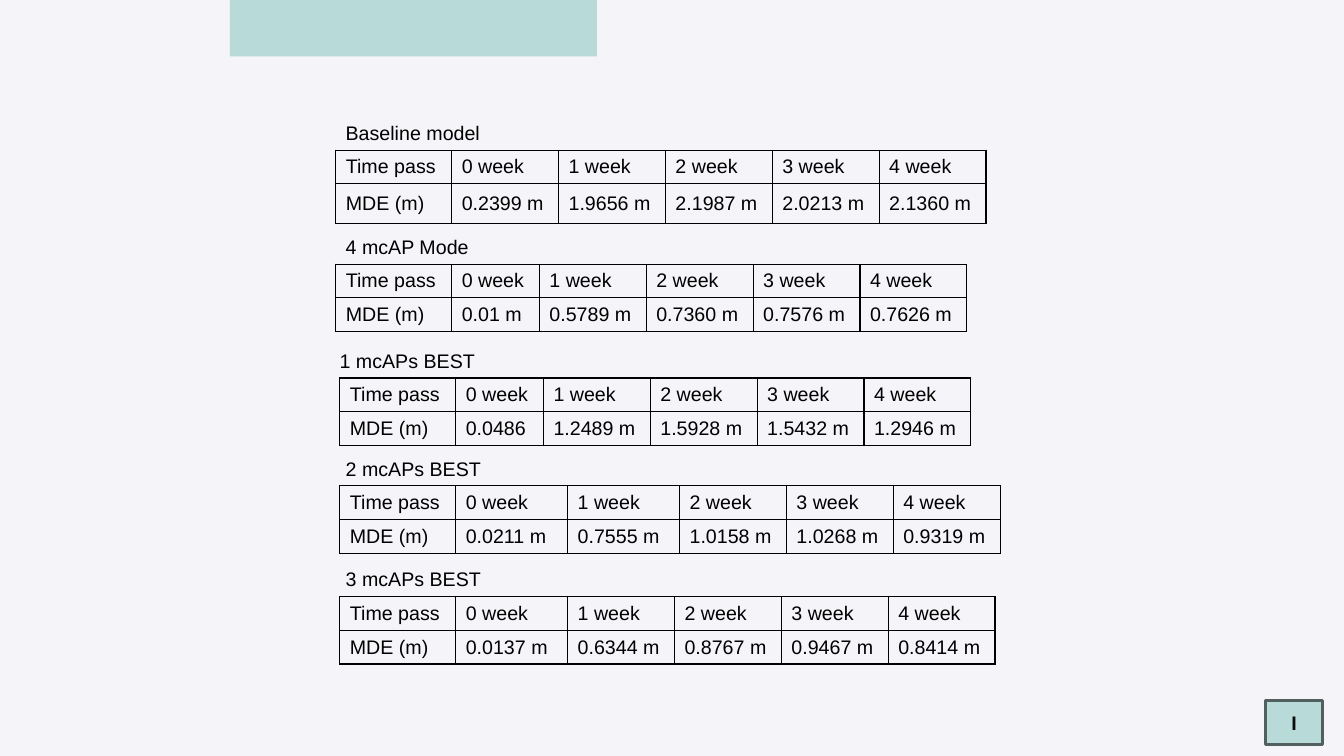
import pptx
import pptx.util
import pptx.dml.color
import pptx.enum.shapes
import pptx.enum.text
import pptx.oxml
import pptx.oxml.ns

COLORS = {
    "background": "F4F4F9",
    "accent": "B8DBD9",
    "badge_line": "51605F",
    "badge_text": "0D0D0D",
    "ink": "000000",
}
GRID_COLUMNS, GRID_ROWS = 13.33, 7.5
CAPTION_HEIGHT = 0.34
ROW_HEIGHT = 0.33
LABEL_WIDTH, VALUE_WIDTH = 1.15, 1.06
BODY_FONT = {"name": "Arial", "size": pptx.util.Pt(14), "bold": False}
BADGE_FONT = {**BODY_FONT, "bold": True}
HEADINGS = ["Time pass"] + [f"{week} week" for week in range(5)]

RESULTS = [
    {
        "caption": "Baseline model", "shift": 0, "left": 3.33, "top": 1.49,
        "widths": {}, "heights": [0.32, 0.39],
        "values": ["0.2399 m", "1.9656 m", "2.1987 m", "2.0213 m", "2.1360 m"],
    },
    {
        "caption": "4 mcAP Mode", "shift": 0, "left": 3.33, "top": 2.62,
        "widths": {1: 0.87}, "heights": [ROW_HEIGHT] * 2,
        "values": ["0.01 m", "0.5789 m", "0.7360 m", "0.7576 m", "0.7626 m"],
    },
    {
        "caption": "1 mcAPs BEST", "shift": -0.1, "left": 3.37, "top": 3.75,
        "widths": {1: 0.87}, "heights": [ROW_HEIGHT] * 2,
        "values": ["0.0486", "1.2489 m", "1.5928 m", "1.5432 m", "1.2946 m"],
    },
    {
        "caption": "2 mcAPs BEST", "shift": -0.04, "left": 3.37, "top": 4.82,
        "widths": {1: 1.11, 2: 1.11}, "heights": [ROW_HEIGHT] * 2,
        "values": ["0.0211 m", "0.7555 m", "1.0158 m", "1.0268 m", "0.9319 m"],
    },
    {
        "caption": "3 mcAPs BEST", "shift": -0.04, "left": 3.37, "top": 5.92,
        "widths": {1: 1.11}, "heights": [ROW_HEIGHT] * 2,
        "values": ["0.0137 m", "0.6344 m", "0.8767 m", "0.9467 m", "0.8414 m"],
    },
]


def color(name):
    return pptx.dml.color.RGBColor.from_string(COLORS[name])


def place(deck, left, top, width, height):
    column = deck.slide_width / GRID_COLUMNS
    row = deck.slide_height / GRID_ROWS
    return [round(part) for part in (left * column, top * row, width * column, height * row)]


def write(frame, text, font=BODY_FONT, ink="ink"):
    para = frame.paragraphs[0]
    span = para.add_run()
    span.text = text
    for name, value in font.items():
        setattr(span.font, name, value)
    span.font.color.rgb = color(ink)
    return para


def outline_cell(cell):
    properties = cell._tc.get_or_add_tcPr()
    for side in ("lnL", "lnR", "lnT", "lnB"):
        properties.append(pptx.oxml.parse_xml(
            f'<a:{side} {pptx.oxml.ns.nsdecls("a")} w="{pptx.util.Pt(1)}">'
            f'<a:solidFill><a:srgbClr val="{COLORS["ink"]}"/></a:solidFill></a:{side}>'
        ))


def add_block(page, box):
    block = page.shapes.add_shape(pptx.enum.shapes.MSO_SHAPE.RECTANGLE, *box)
    block.shadow.inherit = False
    block.fill.solid()
    block.fill.fore_color.rgb = color("accent")
    block.line.fill.background()
    return block


def add_page_badge(page, box):
    badge = add_block(page, box)
    badge.line.color.rgb = color("badge_line")
    badge.line.width = pptx.util.Pt(2)
    badge.text_frame.vertical_anchor = pptx.enum.text.MSO_ANCHOR.MIDDLE
    para = write(badge.text_frame, "I", BADGE_FONT, "badge_text")
    para.alignment = pptx.enum.text.PP_ALIGN.CENTER


def add_caption(page, box, text):
    caption = page.shapes.add_textbox(*box)
    frame = caption.text_frame
    frame.word_wrap = True
    frame.auto_size = pptx.enum.text.MSO_AUTO_SIZE.SHAPE_TO_FIT_TEXT
    write(frame, text)


def add_result_table(page, box, rows, widths, heights):
    table = page.shapes.add_table(len(rows), len(widths), *box).table
    table.first_row = table.horz_banding = False
    for column, width in zip(table.columns, widths):
        column.width = round(box[2] * width / sum(widths))
    for row, height, texts in zip(table.rows, heights, rows):
        row.height = round(box[3] * height / sum(heights))
        for cell, text in zip(row.cells, texts):
            outline_cell(cell)
            cell.fill.background()
            cell.vertical_anchor = pptx.enum.text.MSO_ANCHOR.MIDDLE
            write(cell.text_frame, text)


def add_result(deck, page, result):
    left, top, heights = result["left"], result["top"], result["heights"]
    widths = [LABEL_WIDTH] + [result["widths"].get(index, VALUE_WIDTH) for index in range(1, 6)]
    caption_box = place(
        deck, left + result["shift"], top - CAPTION_HEIGHT, GRID_COLUMNS / 2, CAPTION_HEIGHT
    )
    add_caption(page, caption_box, result["caption"])
    table_box = place(deck, left, top, sum(widths), sum(heights))
    rows = [HEADINGS, ["MDE (m)"] + result["values"]]
    add_result_table(page, table_box, rows, widths, heights)


def main():
    deck = pptx.Presentation()
    deck.slide_width = pptx.util.Inches(GRID_COLUMNS)
    deck.slide_height = pptx.util.Inches(GRID_ROWS)
    page = deck.slides.add_slide(deck.slide_layouts[6])
    page.background.fill.solid()
    page.background.fill.fore_color.rgb = color("background")
    add_block(page, place(deck, 2.28, -0.95, 3.64, 1.51))
    add_page_badge(page, place(deck, 12.55, 6.95, 0.57, 0.44))
    for result in RESULTS:
        add_result(deck, page, result)
    deck.save("out.pptx")


if __name__ == "__main__":
    main()
